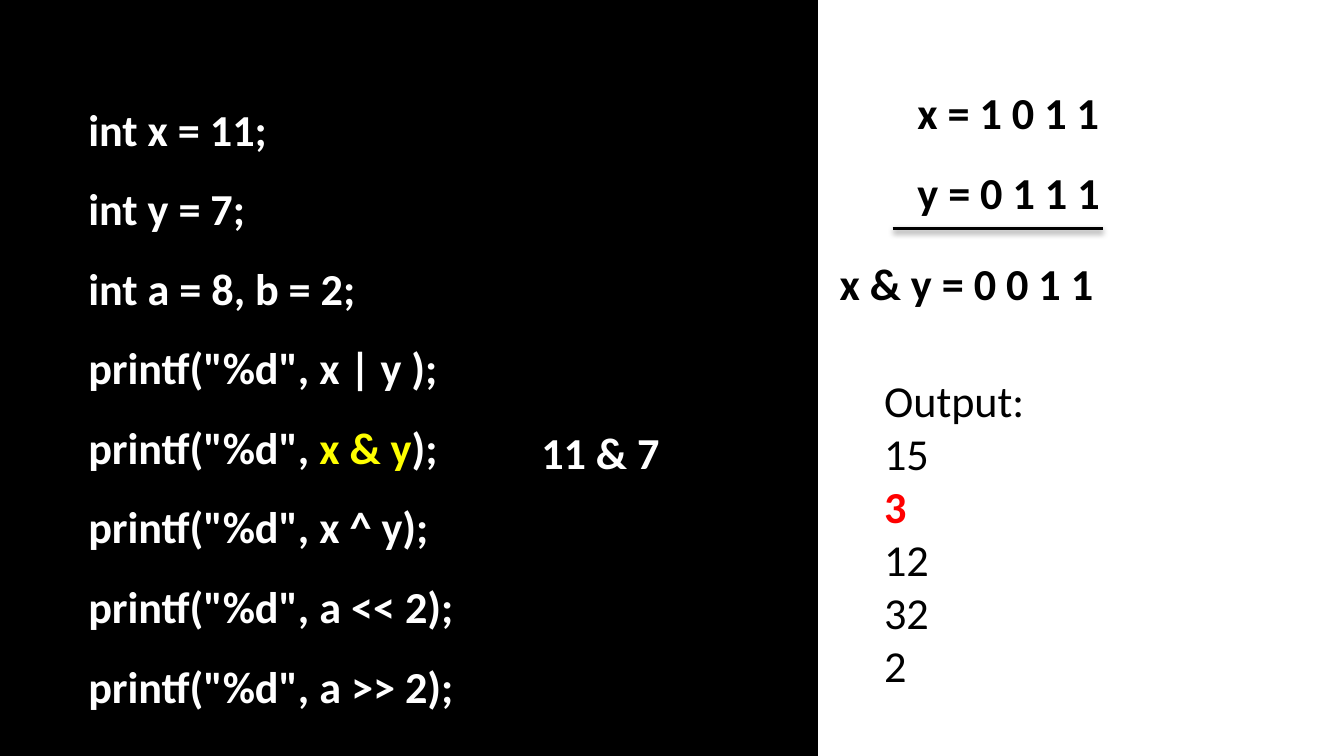
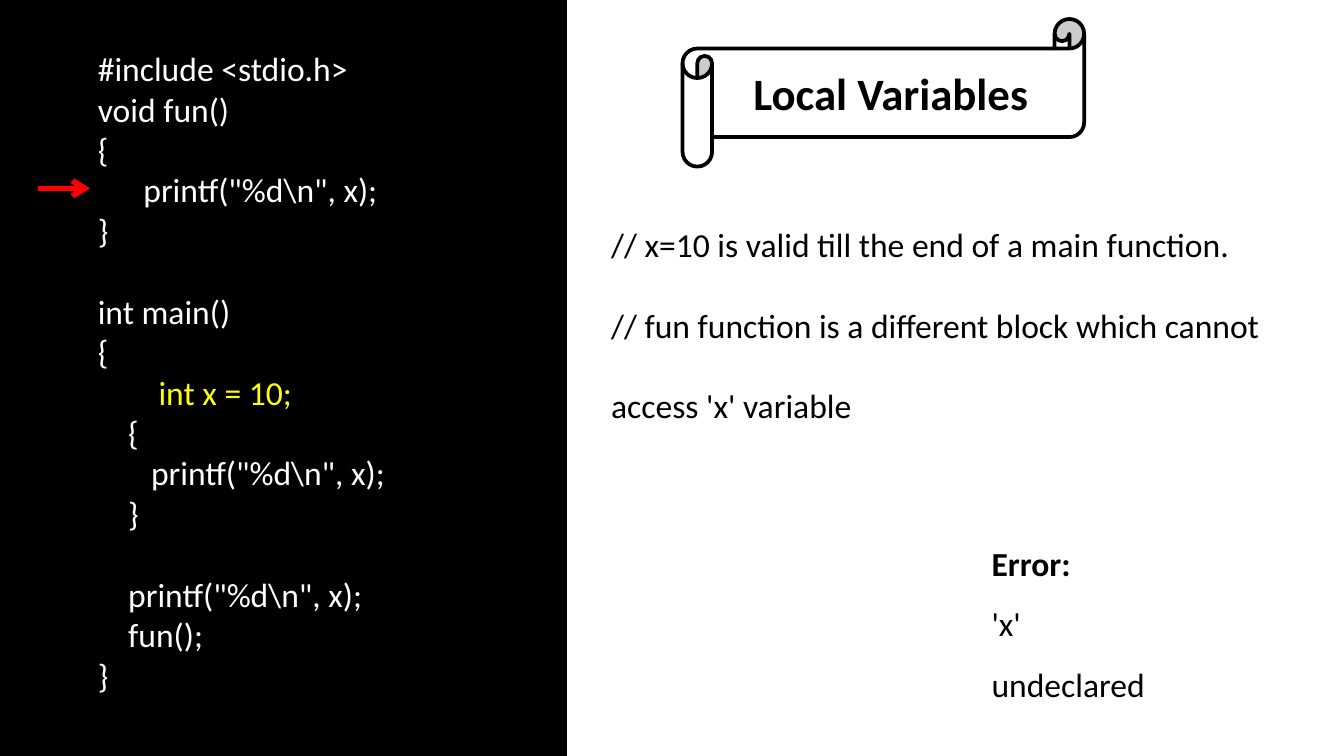
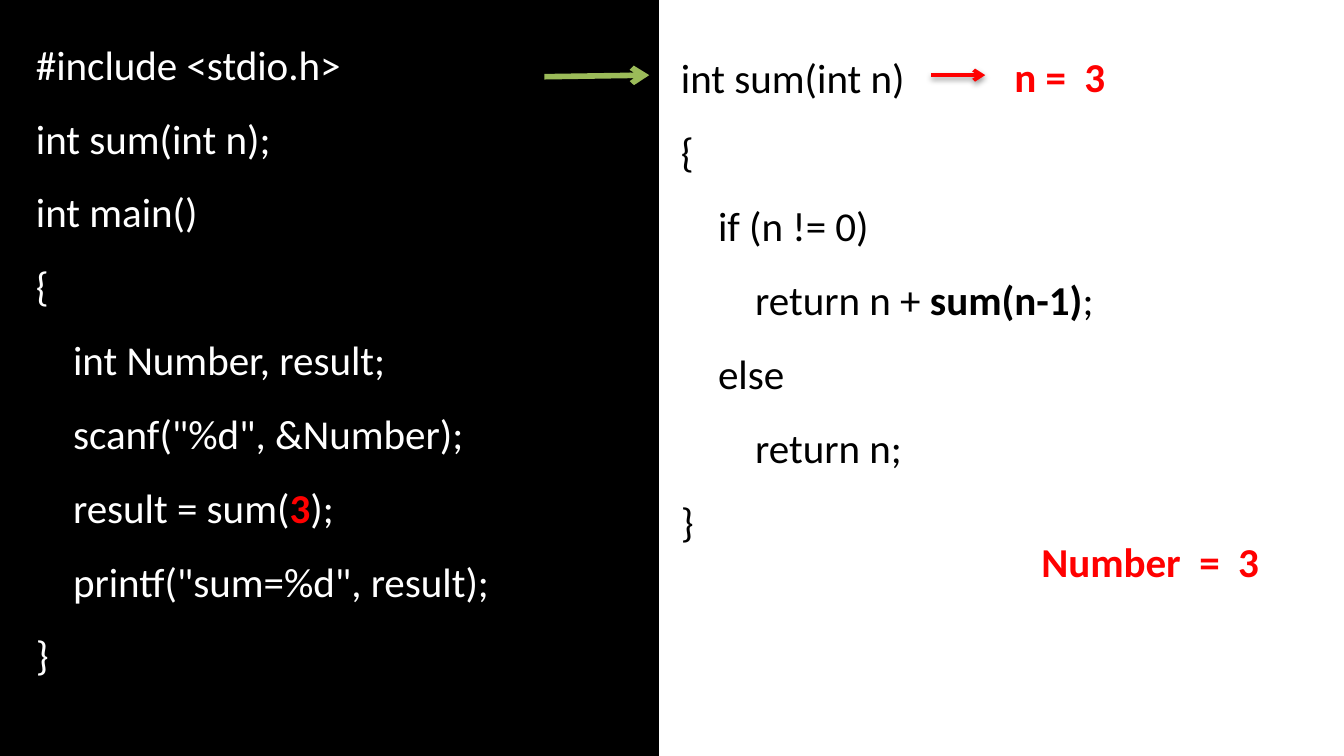
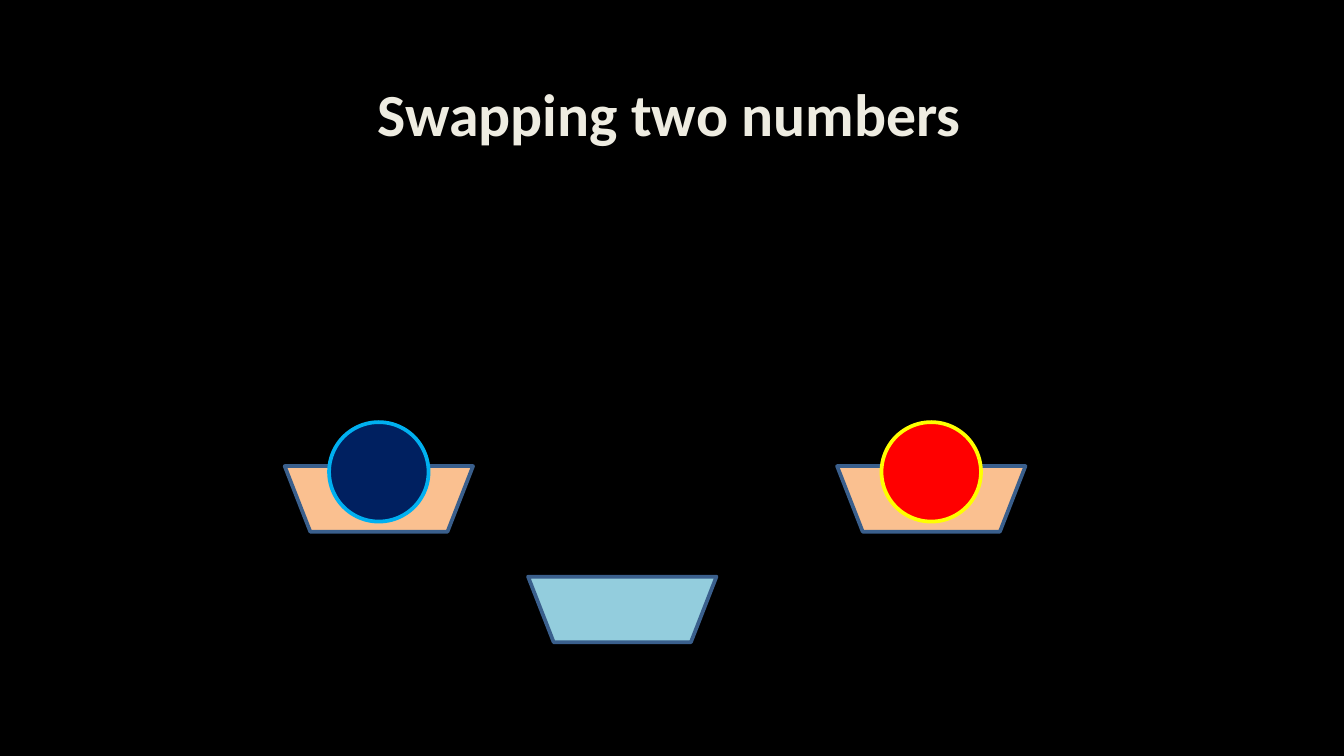
from lxml import etree
from pptx import Presentation
from pptx.dml.color import RGBColor
from pptx.enum.shapes import MSO_CONNECTOR, MSO_SHAPE
from pptx.enum.text import MSO_ANCHOR, MSO_AUTO_SIZE, PP_ALIGN
from pptx.oxml.ns import qn
from pptx.util import Cm, Pt

RECTANGLE = MSO_SHAPE.RECTANGLE
SCROLL = MSO_SHAPE.HORIZONTAL_SCROLL
TRAPEZOID = MSO_SHAPE.TRAPEZOID
OVAL = MSO_SHAPE.OVAL
STRAIGHT = MSO_CONNECTOR.STRAIGHT
CENTER, LEFT = PP_ALIGN.CENTER, PP_ALIGN.LEFT
MIDDLE = MSO_ANCHOR.MIDDLE
FIT = MSO_AUTO_SIZE.SHAPE_TO_FIT_TEXT

WIDTH, HEIGHT = 25.4, 14.29
BLACK, WHITE, RED, YELLOW = "000000", "FFFFFF", "FF0000", "FFFF00"
GREEN, CREAM = "9BBB59", "EEECE1"
PEACH, AQUA, STEEL = "FAC090", "93CDDD", "3A5F8C"
NAVY, SKY = "002060", "00B0F0"
SPACE_EM = 0.226  # width of a space in Calibri
LINE_EM = 1.22    # height of a line in Calibri


def rgb(value):
    return RGBColor.from_string(value)


class Deck:
    def __init__(self):
        self.presentation = Presentation()
        self.presentation.slide_width = Cm(WIDTH)
        self.presentation.slide_height = Cm(HEIGHT)
        self.slide = None

    def new_slide(self, background=WHITE):
        layout = self.presentation.slide_layouts[6]
        self.slide = self.presentation.slides.add_slide(layout)
        fill = self.slide.background.fill
        fill.solid()
        fill.fore_color.rgb = rgb(background)

    def shape(self, kind, box, fill, line, adjustment=None, rotation=0):
        shape = self.slide.shapes.add_shape(kind, *map(Cm, box))
        shape.shadow.inherit = False
        shape.rotation = rotation
        shape.fill.solid()
        shape.fill.fore_color.rgb = rgb(fill)
        shape.line.color.rgb = rgb(line)
        shape.line.width = Pt(2)
        if adjustment is not None:
            shape.adjustments[0] = adjustment
        return shape

    def panel(self, width, left=0):
        self.shape(RECTANGLE, (left, 0, width, HEIGHT), BLACK, BLACK)

    def text(self, box, lines, wrap=True, **style):
        frame = self.slide.shapes.add_textbox(*map(Cm, box)).text_frame
        frame.word_wrap = wrap
        frame.auto_size = FIT
        self.fill_lines(frame, lines, **style)

    def fill_lines(self, frame, lines, size, color=BLACK, bold=False, spacing=1.0, align=LEFT):
        """Fill a frame with lines, each a string or a list of strings and (string, format) pairs.

        Leading spaces become an indent, and an empty line becomes space before the next.
        """
        gap = 0
        paragraph = frame.paragraphs[0]
        for number, line in enumerate(lines):
            if not line:
                gap += size * LINE_EM
                continue
            if number:
                paragraph = frame.add_paragraph()
            runs = [run if isinstance(run, tuple) else (run, {})
                    for run in ([line] if isinstance(line, str) else line)]
            first, first_format = runs[0]
            indent = len(first) - len(first.lstrip())
            runs[0] = (first.lstrip(), first_format)
            layout = {"alignment": align, "line_spacing": spacing, "space_before": Pt(gap)}
            for key, value in layout.items():
                setattr(paragraph, key, value)
            if indent:
                margin = Pt(indent * SPACE_EM * size)
                paragraph._p.get_or_add_pPr().set("marL", str(int(margin)))
            gap = 0
            for words, changes in runs:
                run = paragraph.add_run()
                run.text = words
                values = {"name": "Calibri", "size": Pt(size), "bold": bold,
                          "color": color, **changes}
                run.font.color.rgb = rgb(values.pop("color"))
                for key, value in values.items():
                    setattr(run.font, key, value)

    def line(self, start, end, color, width=2, arrow=True):
        """Draw a straight line with a soft shadow below it."""
        line = self.slide.shapes.add_connector(STRAIGHT, *map(Cm, start + end))
        line.line.color.rgb = rgb(color)
        line.line.width = Pt(width)
        properties = line._element.spPr
        if arrow:
            etree.SubElement(properties.find(qn("a:ln")), qn("a:tailEnd"), type="arrow")
        distance, opacity = (1.6, 38) if width == 2 else (1.8, 35)
        effects = etree.SubElement(properties, qn("a:effectLst"))
        shadow = etree.SubElement(
            effects, qn("a:outerShdw"), blurRad=str(int(Pt(3.1))),
            dist=str(int(Pt(distance))), dir="5400000", rotWithShape="0")
        tint = etree.SubElement(shadow, qn("a:srgbClr"), val=BLACK)
        etree.SubElement(tint, qn("a:alpha"), val=str(opacity * 1000))


def bitwise_slide(deck):
    deck.new_slide()
    deck.panel(15.47, left=-0.05)
    plain = {"size": 23.7}
    strong = {"size": 23.7, "bold": True, "spacing": 1.5}
    deck.text((16.46, 6.93, 6.68, 6.32),
              ["Output:", "15", [("3", {"color": RED, "bold": True})], "12", "32", "2"],
              **plain)
    deck.text((1.42, 1.3, 10.64, 12.4), [
        "int x = 11;",
        "int y = 7;",
        "int a = 8, b = 2;",
        'printf("%d", x | y );',
        ['printf("%d", ', ("x & y", {"color": YELLOW}), ");"],
        'printf("%d", x ^ y);',
        'printf("%d", a << 2);',
        'printf("%d", a >> 2);',
    ], color=WHITE, **strong)
    deck.text((17.09, 0.99, 4.39, 3.3), ["x = 1 0 1 1", "y = 0 1 1 1"], **strong)
    deck.line((16.87, 4.32), (20.85, 4.32), BLACK, arrow=False)
    deck.text((15.62, 4.22, 5.44, 1.78), ["x & y = 0 0 1 1"], **strong)
    deck.text((9.98, 7.42, 3.76, 1.78), ["11 & 7"], color=WHITE, **strong)


def local_variables_slide(deck):
    deck.new_slide()
    deck.panel(10.69)
    deck.text((1.6, 0.79, 8.71, 12.57), [
        "#include <stdio.h>",
        "void fun()",
        "{",
        r'      printf("%d\n", x);',
        "}",
        "",
        "int main()",
        "{",
        [("        int x = 10;", {"color": YELLOW})],
        "    {",
        r'       printf("%d\n", x);',
        "    }",
        "",
        r'    printf("%d\n", x);',
        "    fun();",
        "}",
    ], size=18, color=WHITE)
    heading = deck.shape(SCROLL, (12.9, 0.36, 7.59, 2.79), WHITE, BLACK, adjustment=0.2)
    heading.text_frame.vertical_anchor = MIDDLE
    deck.fill_lines(heading.text_frame, ["Local Variables"], size=24, bold=True, align=CENTER)
    deck.text((11.3, 3.35, 13, 4.88), [
        "// x=10 is valid till the end of a main function.",
        "// fun function is a different block which cannot access 'x' variable",
    ], size=18, spacing=2.0)
    deck.text((18.49, 9.75, 4.09, 2.57),
              [[("Error:", {"bold": True})], "'x' undeclared"],
              wrap=False, size=18, spacing=1.5)
    deck.line((0.71, 3.56), (1.7, 3.56), RED, width=3)


def recursion_slide(deck):
    deck.new_slide()
    deck.panel(12.42)
    code = {"size": 22, "spacing": 1.5}
    value = {"color": RED, "bold": True, "wrap": False, **code}
    deck.text((0.43, 0.15, 11.63, 12.95), [
        "#include <stdio.h>",
        "int sum(int n);",
        "int main()",
        "{",
        "    int Number, result;",
        '    scanf("%d", &Number);',
        ["    result = sum(", ("3", {"color": RED, "bold": True}), ");"],
        '    printf("sum=%d", result);',
        "}",
    ], color=WHITE, **code)
    deck.text((12.62, 0.41, 10.41, 10.13), [
        "int sum(int n)",
        "{",
        "    if (n != 0)",
        ["        return n + ", ("sum(n-1)", {"bold": True}), ";"],
        "    else",
        "        return n;",
        "}",
    ], **code)
    deck.text((19.43, 9.55, 4.62, 1.65), ["Number  =  3"], **value)
    deck.line((10.29, 1.45), (12.27, 1.42), GREEN, width=3)
    deck.line((17.6, 1.42), (18.62, 1.42), RED)
    deck.text((18.92, 0.38, 2.24, 1.65), ["n =  3"], **value)


def swapping_slide(deck):
    deck.new_slide(BLACK)
    bowl_width, bowl_height, ball = 3.56, 1.24, 1.88
    first_left, second_left, bowl_top = 5.38, 15.82, 8.81
    bowls = [(first_left, bowl_top, PEACH), (second_left, bowl_top, PEACH),
             (9.98, 10.9, AQUA)]
    for left, top, fill in bowls:
        deck.shape(TRAPEZOID, (left, top, bowl_width, bowl_height), fill, STEEL,
                   adjustment=0.39, rotation=180)
    for left, fill, line in [(first_left, NAVY, SKY), (second_left, RED, YELLOW)]:
        deck.shape(OVAL, (left + (bowl_width - ball) / 2, 7.98, ball, ball), fill, line)
    deck.text((6.76, 1.32, 11.79, 1.63), ["Swapping two numbers"], wrap=False,
              size=32, color=CREAM, bold=True, align=CENTER)


def main():
    deck = Deck()
    for build in (bitwise_slide, local_variables_slide, recursion_slide, swapping_slide):
        build(deck)
    deck.presentation.save("out.pptx")


if __name__ == "__main__":
    main()
